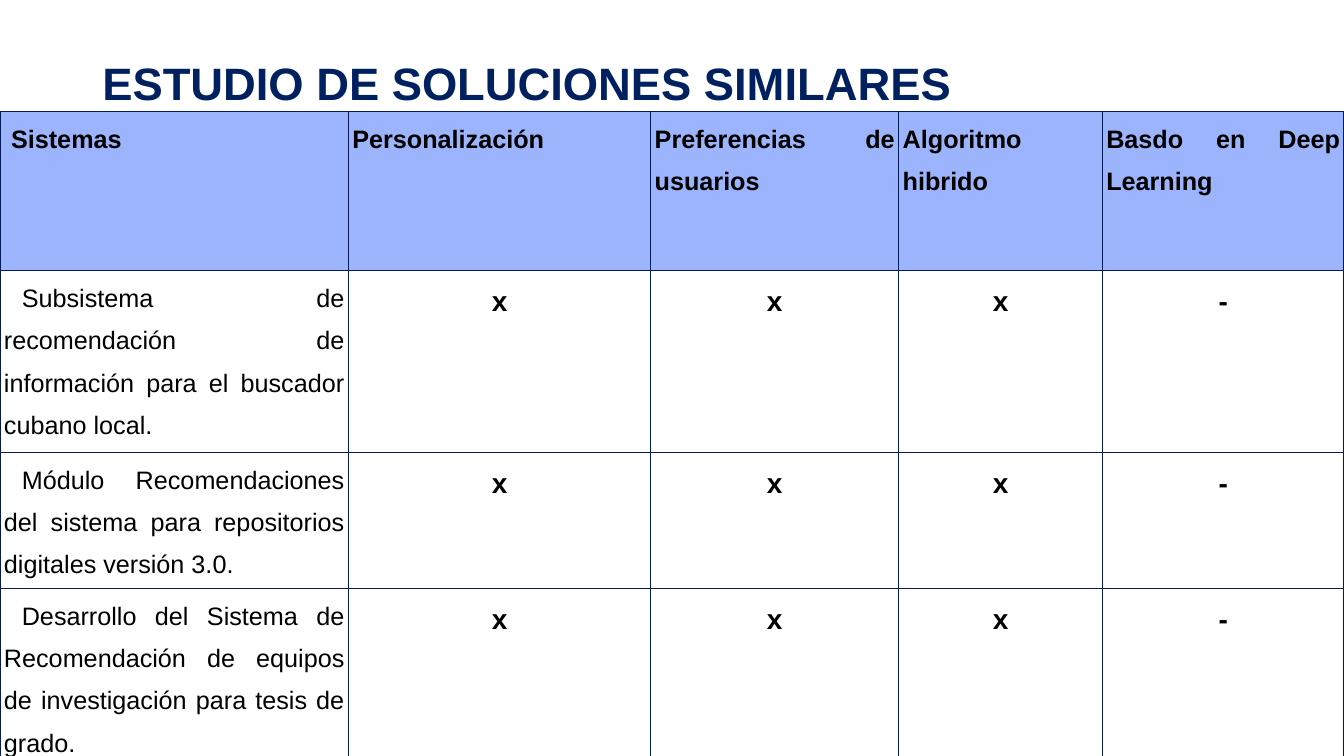
import lxml.etree
import pptx
import pptx.dml.color
import pptx.enum.text
import pptx.oxml.ns
import pptx.util

Cm = pptx.util.Cm
Pt = pptx.util.Pt
ALIGN = pptx.enum.text.PP_ALIGN
ANCHOR = pptx.enum.text.MSO_ANCHOR

COLUMN_WIDTHS = [8.78, 7.62, 6.25, 5.13, 6.09]
ROW_HEIGHTS = [4.02, 4.46, 3.3, 4.46]
HEADERS = ["Sistemas", "Personalización", "Preferencias de usuarios",
           "Algoritmo hibrido", "Basdo en Deep Learning"]
SYSTEMS = [
    "Subsistema de\vrecomendación de información para el buscador cubano local.",
    "Módulo Recomendaciones del sistema para repositorios digitales versión 3.0.",
    "Desarrollo del Sistema de Recomendación de equipos de investigación "
    "para tesis de grado.",
]
MARKS = ["x", "x", "x", "-"]


def color(hex_value):
    return pptx.dml.color.RGBColor.from_string(hex_value)


def set_font(p, size, bold, hex_value):
    p.font.name = "Arial"
    p.font.size = Pt(size)
    p.font.bold = bold
    p.font.color.rgb = color(hex_value)


def add_title(s, left, top, width, height):
    tf = s.shapes.add_textbox(Cm(left), Cm(top), Cm(width), Cm(height)).text_frame
    tf.word_wrap = True
    tf.vertical_anchor = ANCHOR.MIDDLE
    p = tf.paragraphs[0]
    p.text = "ESTUDIO DE SOLUCIONES SIMILARES"
    p.line_spacing = 0.9
    set_font(p, 32.4, True, "002060")


def add_borders(cell, hex_value):
    tc_pr = cell._tc.get_or_add_tcPr()
    qn = pptx.oxml.ns.qn
    for side in "LRTB":
        line = lxml.etree.SubElement(tc_pr, qn(f"a:ln{side}"), w=str(Pt(1)))
        fill = lxml.etree.SubElement(line, qn("a:solidFill"))
        lxml.etree.SubElement(fill, qn("a:srgbClr"), val=hex_value)


def fill_cell(cell, text, size=18, bold=True, align=ALIGN.JUSTIFY,
              indent=0, background=None):
    """Write one bordered cell; indent is that of the first line, in cm."""
    cell.margin_left = cell.margin_right = Cm(0.1)
    cell.margin_top = cell.margin_bottom = 0
    add_borders(cell, "041A59")
    if background:
        cell.fill.solid()
        cell.fill.fore_color.rgb = color(background)
    else:
        cell.fill.background()
    p = cell.text_frame.paragraphs[0]
    p.text = text
    p.alignment = align
    p.line_spacing = 1.5
    if indent:
        p._p.get_or_add_pPr().set("indent", str(Cm(indent)))
    set_font(p, size, bold, "000000")


def add_comparison(s, left, top, width, height):
    table = s.shapes.add_table(len(ROW_HEIGHTS), len(COLUMN_WIDTHS),
                               Cm(left), Cm(top), Cm(width), Cm(height)).table
    table.horz_banding = False
    for column, share in zip(table.columns, COLUMN_WIDTHS):
        column.width = Cm(width * share / sum(COLUMN_WIDTHS))
    for row, share in zip(table.rows, ROW_HEIGHTS):
        row.height = Cm(height * share / sum(ROW_HEIGHTS))

    for c, header in enumerate(HEADERS):
        fill_cell(table.cell(0, c), header, indent=0 if c else 0.18,
                  background="9BB4FB")
    for r, system in enumerate(SYSTEMS, start=1):
        fill_cell(table.cell(r, 0), system, bold=False, indent=0.45)
        for c, mark in enumerate(MARKS, start=1):
            fill_cell(table.cell(r, c), mark, size=20, align=ALIGN.CENTER)


def main():
    prs = pptx.Presentation()
    prs.slide_width = Cm(33.87)
    prs.slide_height = Cm(19.05)
    s = prs.slides.add_slide(prs.slide_layouts[6])
    add_title(s, 2.33, 1.02, 22.63, 2.28)
    add_comparison(s, 0, 2.8, 33.87, 16.25)
    prs.save("out.pptx")


if __name__ == "__main__":
    main()
